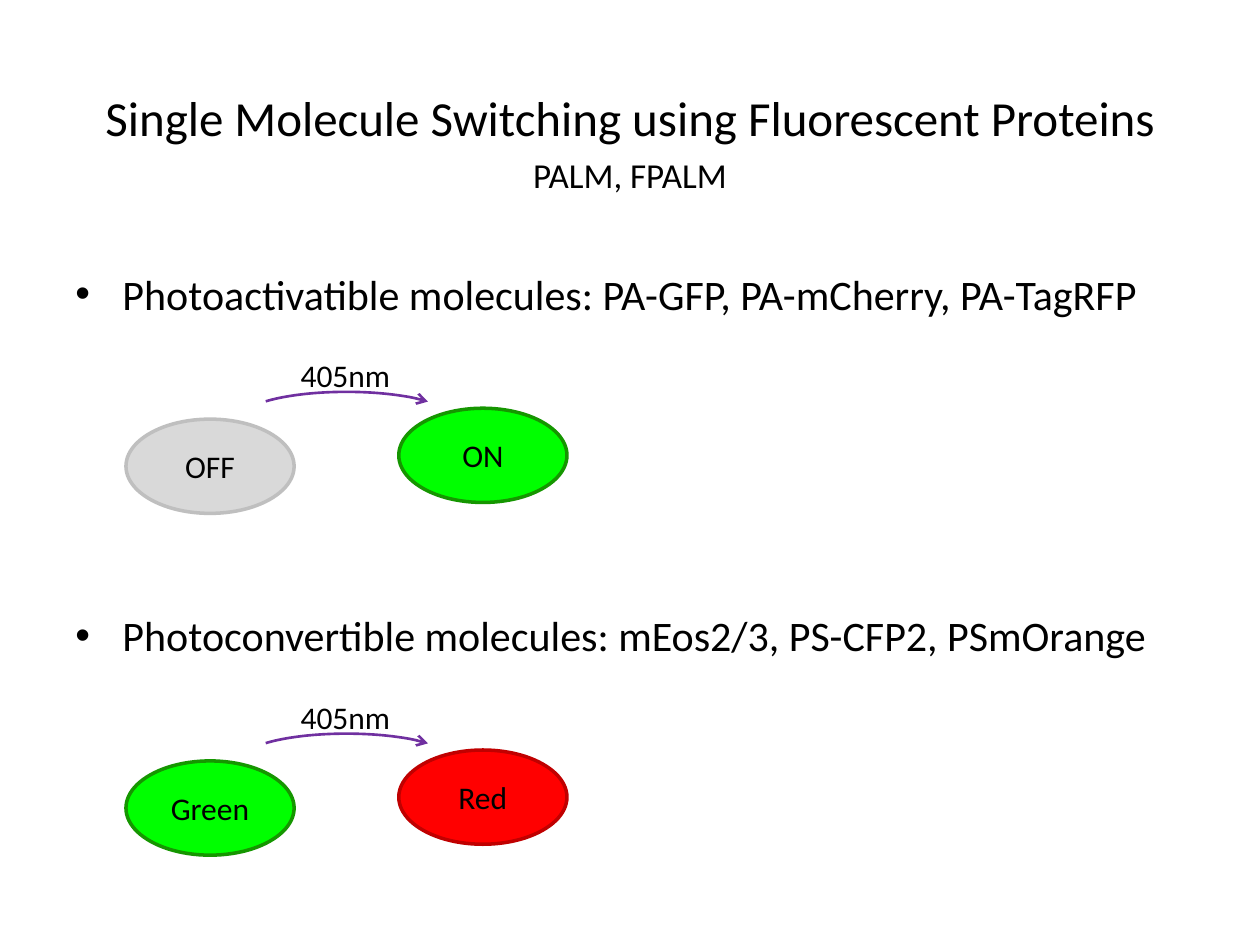
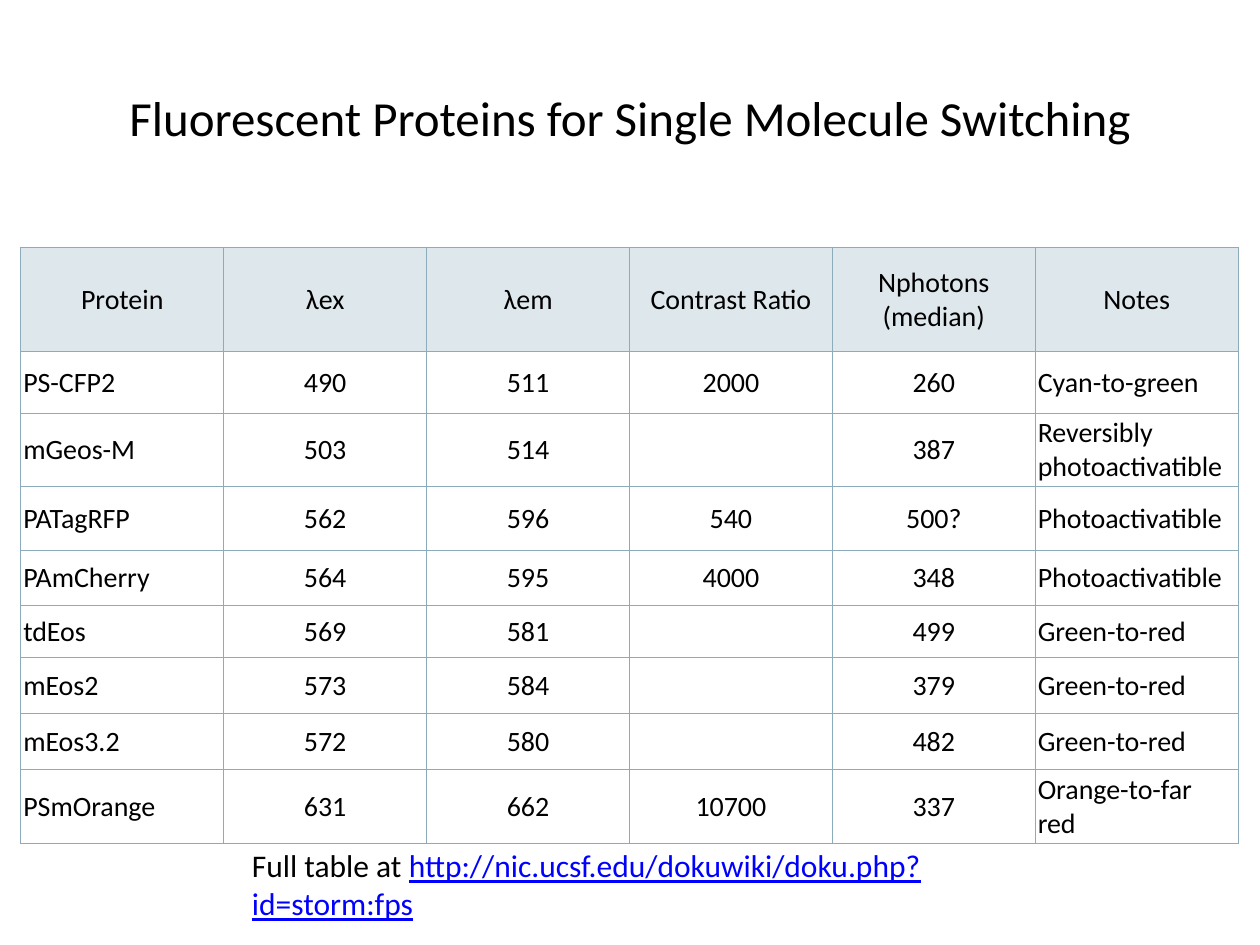
from dataclasses import dataclass

from pptx import Presentation
from pptx.dml.color import RGBColor
from pptx.enum.shapes import MSO_SHAPE
from pptx.enum.text import MSO_ANCHOR, PP_ALIGN
from pptx.oxml.ns import qn
from pptx.slide import Slide
from pptx.text.text import TextFrame
from pptx.util import Cm, Pt
from lxml import etree

LEFT, CENTER = PP_ALIGN.LEFT, PP_ALIGN.CENTER
TOP, MIDDLE = MSO_ANCHOR.TOP, MSO_ANCHOR.MIDDLE
ELLIPSE, ARC = MSO_SHAPE.OVAL, MSO_SHAPE.ARC

FONT = "Calibri"
BLACK, WHITE = "000000", "FFFFFF"
GRAY, GRAY_EDGE = "D9D9D9", "BFBFBF"
GREEN, GREEN_EDGE = "00FF00", "159600"
RED, RED_EDGE = "FF0000", "C00000"
VIOLET, LINK_BLUE = "7030A0", "0000FF"
HEADER_FILL, BORDER = "DEE7EC", "8CACBB"
TITLE_ONLY = 5


@dataclass
class State:
    """A fluorescent state, drawn as an ellipse."""
    label: str
    fill: str
    edge: str


@dataclass
class Switching:
    """A bullet with its light-driven change of state below."""
    top: float
    text: str
    before: State
    after: State


SWITCHINGS = [
    Switching(5.28, "Photoactivatible molecules: PA-GFP, PA-mCherry, PA-TagRFP",
              State("OFF", GRAY, GRAY_EDGE), State("ON", GREEN, GREEN_EDGE)),
    Switching(12.17, "Photoconvertible molecules: mEos2/3, PS-CFP2, PSmOrange",
              State("Green", GREEN, GREEN_EDGE), State("Red", RED, RED_EDGE)),
]

PROTEIN_ROWS = [
    ("Protein", "λex", "λem", "Contrast Ratio", "Nphotons (median)", "Notes"),
    ("PS-CFP2", "490", "511", "2000", "260", "Cyan-to-green"),
    ("mGeos-M", "503", "514", "", "387", "Reversibly photoactivatible"),
    ("PATagRFP", "562", "596", "540", "500?", "Photoactivatible"),
    ("PAmCherry", "564", "595", "4000", "348", "Photoactivatible"),
    ("tdEos", "569", "581", "", "499", "Green-to-red"),
    ("mEos2", "573", "584", "", "379", "Green-to-red"),
    ("mEos3.2", "572", "580", "", "482", "Green-to-red"),
    ("PSmOrange", "631", "662", "10700", "337", "Orange-to-far red"),
]
ROW_HEIGHTS = [2.1, 1.24, 1.4, 1.29, 1.11, 1.05, 1.13, 1.13, 1.27]
COLUMN_WIDTH = 4.09


def rgb(color: str) -> RGBColor:
    return RGBColor.from_string(color)


def write(frame: TextFrame, text: str, *, size: float = 18, color: str = BLACK,
          align: PP_ALIGN = LEFT, anchor: MSO_ANCHOR = TOP, wrap: bool = True,
          underline: bool = False, bullet: bool = False) -> None:
    """Add a span of text to the first paragraph of a frame."""
    frame.word_wrap = wrap
    frame.vertical_anchor = anchor
    para = frame.paragraphs[0]
    para.alignment = align
    if bullet:
        properties = para._p.get_or_add_pPr()
        indent = Cm(0.95)
        properties.set("marL", str(indent))
        properties.set("indent", str(-indent))
        etree.SubElement(properties, qn("a:buFont")).set("typeface", "Arial")
        etree.SubElement(properties, qn("a:buChar")).set("char", "•")
    span = para.add_run()
    span.text = text
    span.font.name = FONT
    span.font.size = Pt(size)
    span.font.color.rgb = rgb(color)
    if underline:
        span.font.underline = True


def add_box(page: Slide, left: float, top: float, width: float,
            height: float) -> TextFrame:
    box = page.shapes.add_textbox(Cm(left), Cm(top), Cm(width), Cm(height))
    return box.text_frame


def add_page(deck: Presentation, title: str) -> Slide:
    page = deck.slides.add_slide(deck.slide_layouts[TITLE_ONLY])
    holder = page.shapes.title
    holder.left, holder.top = Cm(1.27), Cm(0.76)
    holder.width, holder.height = Cm(22.86), Cm(3.18)
    write(holder.text_frame, title, size=28, align=CENTER, anchor=MIDDLE)
    return page


def add_state(page: Slide, state: State, left: float, top: float) -> None:
    ellipse = page.shapes.add_shape(ELLIPSE, Cm(left), Cm(top), Cm(3.39), Cm(1.9))
    ellipse.shadow.inherit = False
    ellipse.fill.solid()
    ellipse.fill.fore_color.rgb = rgb(state.fill)
    ellipse.line.color.rgb = rgb(state.edge)
    ellipse.line.width = Pt(2)
    write(ellipse.text_frame, state.label, align=CENTER, anchor=MIDDLE)


def add_light_arrow(page: Slide, left: float, top: float) -> None:
    arc = page.shapes.add_shape(ARC, Cm(left), Cm(top), Cm(4.23), Cm(1.06))
    arc.shadow.inherit = False
    arc.adjustments[0] = 115.06
    arc.adjustments[1] = 209.11
    arc.fill.background()
    arc.line.color.rgb = rgb(VIOLET)
    arc.line.width = Pt(1.5)
    etree.SubElement(arc.line._get_or_add_ln(), qn("a:tailEnd")).set("type", "arrow")


def add_switching(page: Slide, switching: Switching) -> None:
    top = switching.top
    write(add_box(page, 1.27, top, 22.86, 1.78), switching.text, size=24, bullet=True)
    add_state(page, switching.before, 2.54, top + 3.17)
    add_state(page, switching.after, 8.04, top + 2.95)
    add_light_arrow(page, 4.87, top + 2.62)
    write(add_box(page, 5.81, top + 1.78, 2.34, 1.03), "405nm", wrap=False)


def set_borders(cell) -> None:
    properties = cell._tc.get_or_add_tcPr()
    for side in ("a:lnL", "a:lnR", "a:lnT", "a:lnB"):
        line = etree.SubElement(properties, qn(side))
        line.set("w", str(Pt(0.75)))
        fill = etree.SubElement(line, qn("a:solidFill"))
        etree.SubElement(fill, qn("a:srgbClr")).set("val", BORDER)


def add_protein_table(page: Slide) -> None:
    columns = len(PROTEIN_ROWS[0])
    table = page.shapes.add_table(
        len(PROTEIN_ROWS), columns, Cm(0.42), Cm(4.99),
        Cm(COLUMN_WIDTH * columns), Cm(sum(ROW_HEIGHTS))).table
    table.first_row = table.horz_banding = False
    for column in table.columns:
        column.width = Cm(COLUMN_WIDTH)
    for row, (height, values) in enumerate(zip(ROW_HEIGHTS, PROTEIN_ROWS)):
        table.rows[row].height = Cm(height)
        for column, value in enumerate(values):
            cell = table.cell(row, column)
            set_borders(cell)
            cell.fill.solid()
            cell.fill.fore_color.rgb = rgb(WHITE if row else HEADER_FILL)
            cell.margin_left = cell.margin_right = Cm(0.05)
            cell.margin_top = cell.margin_bottom = Cm(0.05)
            cell.vertical_anchor = MIDDLE
            if value:
                is_text = row > 0 and column in (0, columns - 1)
                write(cell.text_frame, value, size=16, anchor=MIDDLE,
                      align=LEFT if is_text else CENTER)


def main() -> None:
    deck = Presentation()
    deck.slide_width, deck.slide_height = Cm(25.4), Cm(19.05)

    # Switching principles
    page = add_page(deck, "Single Molecule Switching using Fluorescent Proteins")
    write(add_box(page, 3.6, 2.96, 18.2, 1.11), "PALM, FPALM", size=20, align=CENTER)
    for switching in SWITCHINGS:
        add_switching(page, switching)

    # Protein comparison
    page = add_page(deck, "Fluorescent Proteins for Single Molecule Switching")
    add_protein_table(page)
    source = add_box(page, 4.83, 16.94, 15.98, 1.8)
    write(source, "Full table at ")
    write(source, "http://nic.ucsf.edu/dokuwiki/doku.php?id=storm:fps",
          color=LINK_BLUE, underline=True)

    deck.save("out.pptx")


if __name__ == "__main__":
    main()
